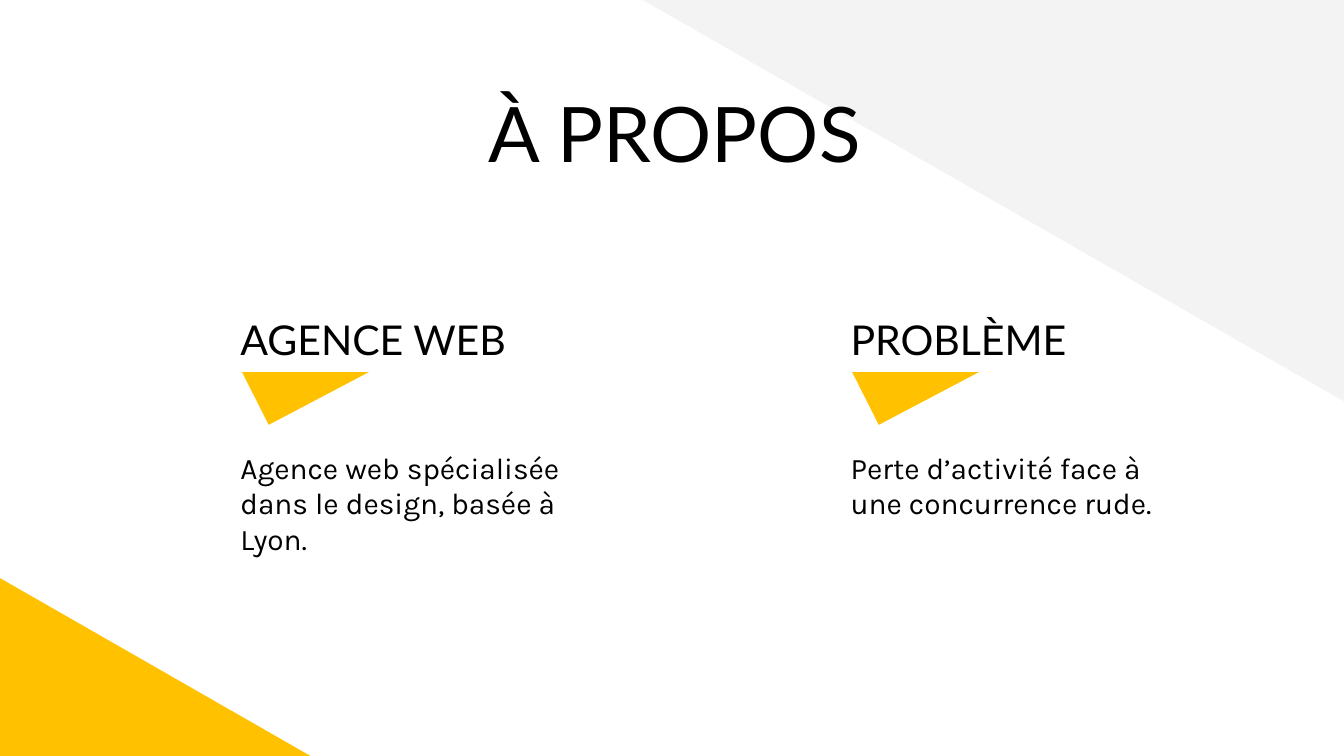
from pptx import Presentation
from pptx.dml.color import RGBColor
from pptx.enum.shapes import MSO_SHAPE
from pptx.enum.text import MSO_ANCHOR, PP_ALIGN
from pptx.util import Pt

RIGHT_TRIANGLE = MSO_SHAPE.RIGHT_TRIANGLE
TRIANGLE = MSO_SHAPE.ISOSCELES_TRIANGLE
TOP = MSO_ANCHOR.TOP
LEFT, CENTER = PP_ALIGN.LEFT, PP_ALIGN.CENTER

WIDTH, HEIGHT = 720, 405
COLORS = {"background": "FFFFFF", "text": "000000",
          "grey": "F3F3F3", "yellow": "FFC100"}
HEADING_FONT, BODY_FONT = "Lato", "Karla"


def format_text(tf, text, *, font, size, color, align=LEFT, spacing=None):
    p = tf.paragraphs[0]
    p.alignment = align
    if spacing:
        p.line_spacing = spacing
    r = p.add_run()
    r.text = text
    r.font.name = font
    r.font.size = Pt(size)
    r.font.color.rgb = RGBColor.from_string(color)


class Deck:
    """Holds the colours and the current slide."""

    def __init__(self, prs, colors):
        self.colors = colors
        self.s = prs.slides.add_slide(prs.slide_layouts[6])
        fill = self.s.background.fill
        fill.solid()
        fill.fore_color.rgb = RGBColor.from_string(colors["background"])

    def shape(self, kind, x, y, w, h, color, rotation=0, adjustment=None):
        sp = self.s.shapes.add_shape(kind, Pt(x), Pt(y), Pt(w), Pt(h))
        sp.shadow.inherit = False
        sp.fill.solid()
        sp.fill.fore_color.rgb = RGBColor.from_string(self.colors[color])
        sp.line.fill.background()
        sp.rotation = rotation
        if adjustment is not None:
            sp.adjustments[0] = adjustment

    def text(self, text, x, y, w, h, **style):
        tf = self.s.shapes.add_textbox(Pt(x), Pt(y), Pt(w), Pt(h)).text_frame
        tf.word_wrap = True
        tf.vertical_anchor = TOP
        tf.margin_left = tf.margin_right = Pt(7.2)
        tf.margin_top = tf.margin_bottom = Pt(7.2)
        format_text(tf, text, color=self.colors["text"], **style)


def main():
    prs = Presentation()
    prs.slide_width, prs.slide_height = Pt(WIDTH), Pt(HEIGHT)
    deck = Deck(prs, COLORS)

    # Corner triangles
    deck.shape(RIGHT_TRIANGLE, 343.5, -0.5, WIDTH - 343.5, 215.5, "grey",
               rotation=180)
    deck.shape(RIGHT_TRIANGLE, 0, 309.75, 166.25, HEIGHT - 309.75, "yellow")

    # Title
    deck.text("À PROPOS", 42.5, 39, 638, 45.5,
              font=HEADING_FONT, size=41, align=CENTER)

    # Columns: heading, marker and description
    columns = [
        (121.75, "AGENCE WEB",
         "Agence web spécialisée dans le design, basée à Lyon."),
        (448.6, "PROBLÈME",
         "Perte d’activité face à une concurrence rude."),
    ]
    for x, heading, description in columns:
        deck.text(heading, x, 157.5, 162.5, 39,
                  font=HEADING_FONT, size=22, spacing=1.15)
        deck.shape(TRIANGLE, x + 7.9, 199.3, 68, 28.3, "yellow",
                   rotation=180, adjustment=0.79)
        deck.text(description, x, 233.5, 192, 78.5, font=BODY_FONT, size=16)

    prs.save("out.pptx")


if __name__ == "__main__":
    main()
